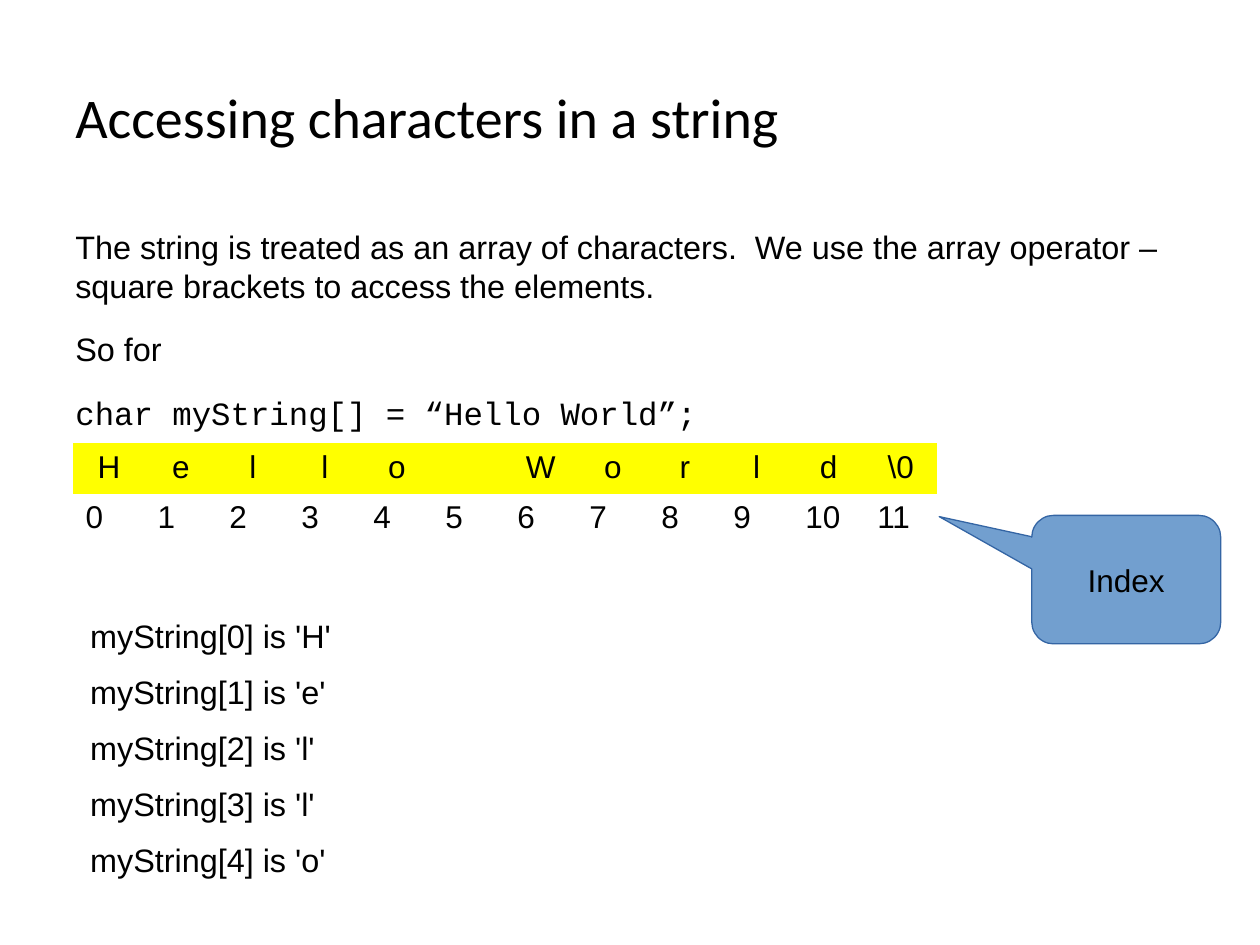
from pptx import Presentation
from pptx.dml.color import RGBColor
from pptx.enum.shapes import MSO_SHAPE
from pptx.enum.text import MSO_ANCHOR, PP_ALIGN
from pptx.oxml.ns import qn
from pptx.util import Cm, Pt

HUES = {
    "ink": "000000",
    "mark": "FFFF00",
    "plain": "FFFFFF",
    "note": "729FCF",
    "edge": "3465A4",
}
NO_GRID = "{2D5ABB26-0587-4C30-8999-92F81FD0307C}"
WORD = "Hello World"


def hue(name):
    return RGBColor.from_string(HUES[name])


def style(para, size, face="Arial"):
    for run in para.runs:
        run.font.size = Pt(size)
        run.font.name = face
        run.font.color.rgb = hue("ink")


def add_text(slide, box, lines, size, face="Arial", after=0, pitch=None):
    frame = slide.shapes.add_textbox(*map(Cm, box)).text_frame
    frame.word_wrap = True
    frame.text = "\n".join(lines)
    for para in frame.paragraphs:
        para.space_after = Pt(after)
        if pitch:
            para.line_spacing = pitch
        style(para, size, face)
    return frame


def add_grid(slide, box, rows):
    # Each row: texts, fill and alignment
    count = len(rows[0][0])
    grid = slide.shapes.add_table(len(rows), count, *map(Cm, box)).table
    grid._tbl.tblPr.find(qn("a:tableStyleId")).text = NO_GRID
    for r, (texts, fill, align) in enumerate(rows):
        for c, text in enumerate(texts):
            cell = grid.cell(r, c)
            cell.fill.solid()
            cell.fill.fore_color.rgb = hue(fill)
            para = cell.text_frame.paragraphs[0]
            para.text = text.strip()
            para.alignment = align
            style(para, 18)


def add_note(slide, box, text, tip):
    note = slide.shapes.add_shape(
        MSO_SHAPE.ROUNDED_RECTANGULAR_CALLOUT, *map(Cm, box))
    note.shadow.inherit = False
    for i, value in enumerate(tip):
        note.adjustments[i] = value
    note.fill.solid()
    note.fill.fore_color.rgb = hue("note")
    note.line.color.rgb = hue("edge")
    note.line.width = Pt(0)
    frame = note.text_frame
    frame.text = text
    frame.vertical_anchor = MSO_ANCHOR.MIDDLE
    frame.paragraphs[0].alignment = PP_ALIGN.CENTER
    style(frame.paragraphs[0], 18)


def main():
    deck = Presentation()
    deck.slide_width, deck.slide_height = Cm(25.4), Cm(19.05)
    slide = deck.slides.add_slide(deck.slide_layouts[6])

    # Title
    title = add_text(slide, (1.27, 0.76, 22.86, 3.18),
                     ["Accessing characters in a string"], 32, "Calibri")
    title.vertical_anchor = MSO_ANCHOR.MIDDLE

    # Introduction, ending in a line of code
    intro = add_text(slide, (1.27, 4.45, 22.86, 4.4), [
        "The string is treated as an array of characters.  We use the array "
        "operator – square brackets to access the elements.",
        "So for",
        f"char myString[] = “{WORD}”;",
    ], 18.5, after=14.2)
    style(intro.paragraphs[-1], 18.5, "Courier New")

    # Element values
    items = [f"myString[{i}] is '{char}'" for i, char in enumerate(WORD[:5])]
    values = add_text(slide, (1.57, 12.45, 22.56, 5.5), items, 18.5,
                      after=14.2, pitch=0.8)
    values.vertical_anchor = MSO_ANCHOR.TOP

    # Characters over their indices
    chars = [*WORD, "\\0"]
    add_grid(slide, (1.47, 8.94, 17.42, 1.93), [
        (chars, "mark", PP_ALIGN.CENTER),
        ([str(i) for i in range(len(chars))], "plain", PP_ALIGN.LEFT),
    ])

    # Callout pointing at the index row
    add_note(slide, (20.8, 10.39, 3.81, 2.59), "Index", (-0.99, -0.49, 0.17))

    deck.save("out.pptx")


if __name__ == "__main__":
    main()
